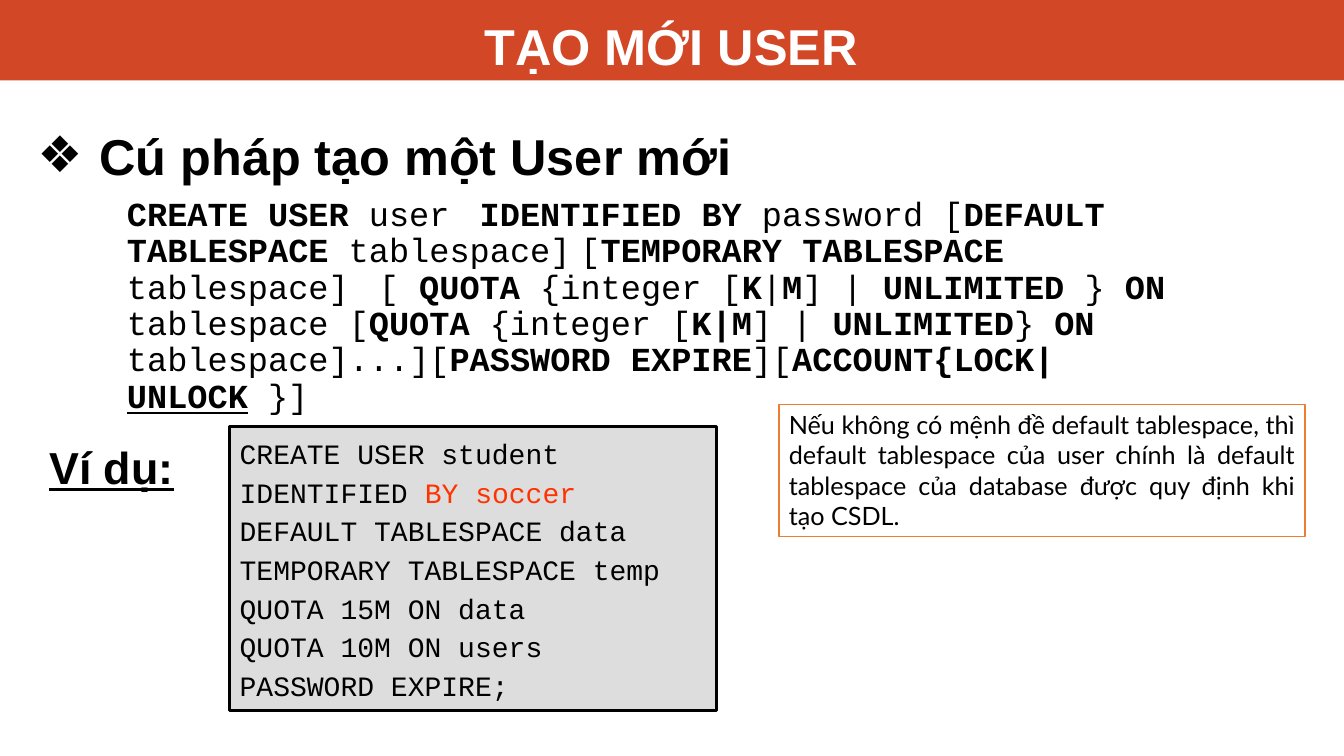
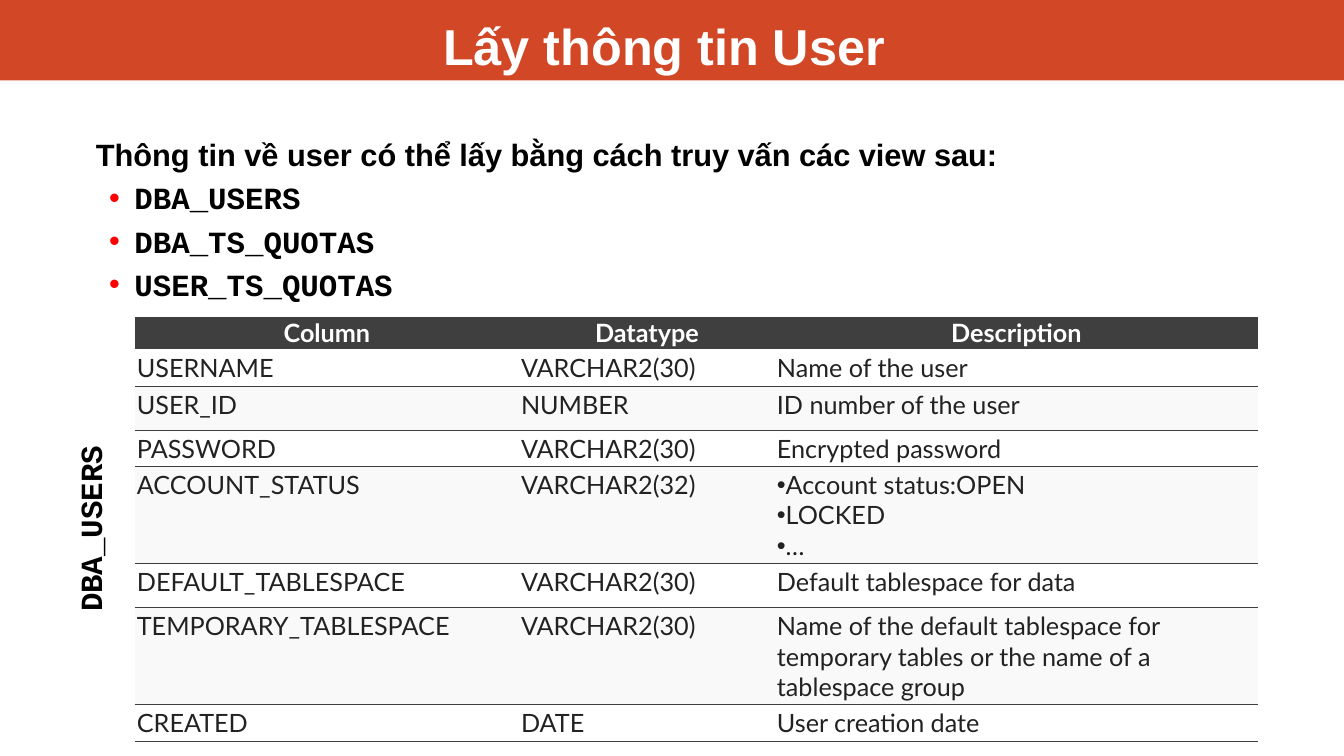
"""Build two slides on creating database users and reading their details."""
from dataclasses import dataclass

from lxml import etree
from pptx import Presentation, util as u
from pptx.dml import color as col
from pptx.enum import shapes, text
from pptx.oxml import ns

BRAND, WHITE, BLACK, DARK = "D24726", "FFFFFF", "000000", "3F3F3F"
SANS, MONO, BODY = "Arial", "Courier New", "Lato"
ALIGN, ANCHOR = text.PP_ALIGN, text.MSO_ANCHOR


@dataclass
class Style:
    """Look of a paragraph; lengths in cm, sizes in points."""
    font: str
    size: float
    color: str = BLACK
    bold: bool = False
    under: bool = False
    align: ALIGN = ALIGN.LEFT
    left: float = 0
    hang: float = 0
    lines: float = 1
    before: float = 0
    bullet: str = ""
    tint: str = ""
    mark: str = ""


@dataclass
class Box:
    """Place and frame of a text; lengths in cm, line width in points."""
    x: float
    y: float
    w: float
    h: float
    fill: str = ""
    line: str = ""
    width: float = 1
    anchor: ANCHOR = ANCHOR.TOP
    pad: tuple = (0.25, 0.13)
    grow: bool = False
    wrap: bool = True
    turn: str = ""


def rgb(code: str) -> col.RGBColor:
    """Turn a hex string into a colour."""
    return col.RGBColor.from_string(code)


def sub(node, tag: str, **attrs):
    """Add a drawing child element."""
    return etree.SubElement(node, ns.qn("a:" + tag), **attrs)


def write(para, words: str, look: Style) -> None:
    """Fill a paragraph; parts between asterisks are bold or in the mark colour."""
    parts = words.split("*")
    para.alignment, para.line_spacing = look.align, look.lines
    para.space_before = u.Pt(look.before)
    props = para._p.get_or_add_pPr()
    props.set("marL", str(u.Cm(look.left)))
    props.set("indent", str(u.Cm(look.hang)))
    if look.tint:
        sub(sub(props, "buClr"), "srgbClr", val=look.tint)
    if look.bullet:
        sub(props, "buFont", typeface="Arial")
        sub(props, "buChar", char=look.bullet)
    else:
        sub(props, "buNone")
    for i, part in enumerate(parts):
        if not part:
            continue
        run = para.add_run()
        run.text = part
        font = run.font
        font.name, font.size = look.font, u.Pt(look.size)
        odd = i % 2 == 1
        font.bold = look.bold or (odd and not look.mark)
        font.underline = look.under
        font.color.rgb = rgb(look.mark if odd and look.mark else look.color)


def fill(frame, items: list) -> None:
    """Write (words, style) pairs as the paragraphs of a frame."""
    for i, (words, look) in enumerate(items):
        para = frame.add_paragraph() if i else frame.paragraphs[0]
        write(para, words, look)


def draw(slide, box: Box, items: list):
    """Draw a framed or plain text and return its shape."""
    area = [u.Cm(n) for n in (box.x, box.y, box.w, box.h)]
    if box.fill:
        shape = slide.shapes.add_shape(shapes.MSO_SHAPE.RECTANGLE, *area)
        shape.shadow.inherit = False
        shape.fill.solid()
        shape.fill.fore_color.rgb = rgb(box.fill)
        if box.line:
            shape.line.color.rgb = rgb(box.line)
            shape.line.width = u.Pt(box.width)
        else:
            shape.line.fill.background()
    else:
        shape = slide.shapes.add_textbox(*area)
    frame = shape.text_frame
    frame.word_wrap, frame.vertical_anchor = box.wrap, box.anchor
    frame.margin_left = frame.margin_right = u.Cm(box.pad[0])
    frame.margin_top = frame.margin_bottom = u.Cm(box.pad[1])
    size = text.MSO_AUTO_SIZE
    frame.auto_size = size.SHAPE_TO_FIT_TEXT if box.grow else size.NONE
    if box.turn:
        frame._txBody.bodyPr.set("vert", box.turn)
    fill(frame, items)
    return shape


def start(deck, title: str):
    """Add a slide with the shared band and title."""
    slide = deck.slides.add_slide(deck.slide_layouts[6])
    draw(slide, Box(0, 0, 33.87, 2.03, fill=BRAND), [])
    look = Style(SANS, 36, WHITE, bold=True, align=ALIGN.CENTER)
    draw(slide, Box(0.48, 0, 32.87, 2.03, anchor=ANCHOR.BOTTOM), [(title, look)])
    return slide


def rule(cell, sides: str) -> None:
    """Draw the named sides of a cell and clear the others."""
    props = cell._tc.get_or_add_tcPr()
    for side in "LRTB":
        line = sub(props, "ln" + side, w=str(u.Pt(0.75)))
        if side in sides:
            sub(sub(line, "solidFill"), "srgbClr", val=DARK)
        else:
            sub(line, "noFill")


def grid(slide, x: float, y: float, wide: list, tall: list, rows: list) -> None:
    """Draw a table with a dark head and faintly banded rows."""
    area = [u.Cm(n) for n in (x, y, sum(wide), sum(tall))]
    table = slide.shapes.add_table(len(rows), len(wide), *area).table
    table.first_row = table.horz_banding = False
    for part, size in zip(table.columns, wide):
        part.width = u.Cm(size)
    for part, size in zip(table.rows, tall):
        part.height = u.Cm(size)
    head = Style(BODY, 18, WHITE, bold=True, align=ALIGN.CENTER)
    plain = Style(BODY, 18, "222222")
    dots = Style(BODY, 18, "222222", bullet="•")
    for r, row in enumerate(rows):
        for c, words in enumerate(row):
            cell = table.cell(r, c)
            rule(cell, "" if r == 0 else "B" if r == 1 else "TB")
            cell.fill.solid()
            shade = DARK if r == 0 else WHITE if r % 2 else "F9F9F9"
            cell.fill.fore_color.rgb = rgb(shade)
            cell.vertical_anchor = ANCHOR.TOP if r else ANCHOR.BOTTOM
            cell.margin_left = cell.margin_right = u.Cm(0.05 if r else 0.03)
            cell.margin_top = cell.margin_bottom = u.Cm(0.08 if r else 0.03)
            lines = words.split("\n")
            look = head if r == 0 else dots if len(lines) > 1 else plain
            fill(cell.text_frame, [(line, look) for line in lines])


SYNTAX = (
    "*CREATE USER *user\t*IDENTIFIED BY *password [*DEFAULT TABLESPACE *"
    "tablespace]\t[*TEMPORARY TABLESPACE *tablespace]\t[ *QUOTA* {integer "
    "[*K*|*M*] | *UNLIMITED* } *ON *tablespace [*QUOTA* {integer [*K|M*] | "
    "*UNLIMITED*} *ON *tablespace]...][*PASSWORD EXPIRE*]["
    "*ACCOUNT{LOCK|**UNLOCK* }]"
)
SAMPLE = [
    "CREATE USER student",
    "IDENTIFIED *BY soccer*",
    "DEFAULT TABLESPACE data",
    "TEMPORARY TABLESPACE temp",
    "QUOTA 15M ON data",
    "QUOTA 10M ON users",
    "PASSWORD EXPIRE;",
]
NOTE = (
    "Nếu không có mệnh đề default tablespace, thì default tablespace của user "
    "chính là default tablespace của database được quy định khi tạo CSDL. "
)
VIEWS = ["DBA_USERS", "DBA_TS_QUOTAS", "USER_TS_QUOTAS"]
FIELDS = [
    ("Column", "Datatype", "Description"),
    ("USERNAME", "VARCHAR2(30)", "Name of the user"),
    ("USER_ID", "NUMBER", "ID number of the user"),
    ("PASSWORD", "VARCHAR2(30)", "Encrypted password"),
    ("ACCOUNT_STATUS", "VARCHAR2(32)", "Account status:OPEN\nLOCKED\n…"),
    ("DEFAULT_TABLESPACE", "VARCHAR2(30)", "Default tablespace for data"),
    ("TEMPORARY_TABLESPACE", "VARCHAR2(30)",
     "Name of the default tablespace for temporary tables or the name of a "
     "tablespace group"),
    ("CREATED", "DATE", "User creation date"),
]


def create(deck) -> None:
    """Build the slide on creating a user."""
    slide = start(deck, "TẠO MỚI USER")
    lead = Style(SANS, 36, bold=True, left=1.57, hang=-1.57, bullet="❖")
    draw(slide, Box(0.69, 2.36, 20.32, 2.44, anchor=ANCHOR.BOTTOM),
         [("Cú pháp tạo một User mới", lead)])
    code = Style(MONO, 24, left=1.27, lines=0.9, before=7.2)
    shape = draw(slide, Box(1.68, 4.85, 28.8, 7.32), [(SYNTAX, code)])
    shape.text_frame.paragraphs[0].runs[-2].font.underline = True
    look = Style(MONO, 20, lines=1.15, mark="FF3300")
    draw(slide, Box(5.79, 10.74, 12.27, 7.16, "DDDDDD", BLACK, 2.25, grow=True),
         [(line, look) for line in SAMPLE])
    draw(slide, Box(0.99, 10.13, 20.32, 2.44, anchor=ANCHOR.BOTTOM),
         [("Ví dụ:", Style(SANS, 32, bold=True, under=True))])
    draw(slide, Box(19.63, 10.19, 13.26, 3.33, WHITE, "ED7D31", grow=True),
         [(NOTE, Style(BODY, 18, align=ALIGN.JUSTIFY))])


def lookup(deck) -> None:
    """Build the slide on reading user details."""
    slide = start(deck, "Lấy thông tin User ")
    lead = Style(SANS, 22, bold=True, before=4.4)
    item = Style(MONO, 22, bold=True, left=0.97, hang=-0.64, before=4.4,
                 bullet="•", tint="FF0000")
    draw(slide, Box(2.39, 3.4, 27.13, 4.39, pad=(0.03, 0.03), grow=True),
         [("Thông tin về user có thể lấy bằng cách truy vấn các view sau:", lead)]
         + [(view, item) for view in VIEWS])
    grid(slide, 3.4, 7.98, [9.68, 6.45, 12.17],
         [0.8, 0.91, 1.11, 0.91, 2.42, 1.11, 2.44, 0.91], FIELDS)
    side = Style(MONO, 22, bold=True, left=0.3, before=4.4)
    draw(slide, Box(1.55, 11.02, 1.45, 4.83, grow=True, wrap=False,
                    turn="vert270"), [(VIEWS[0], side)])


def main() -> None:
    """Build and save the deck."""
    deck = Presentation()
    deck.slide_width, deck.slide_height = u.Cm(33.87), u.Cm(19.05)
    create(deck)
    lookup(deck)
    deck.save("out.pptx")


main()
